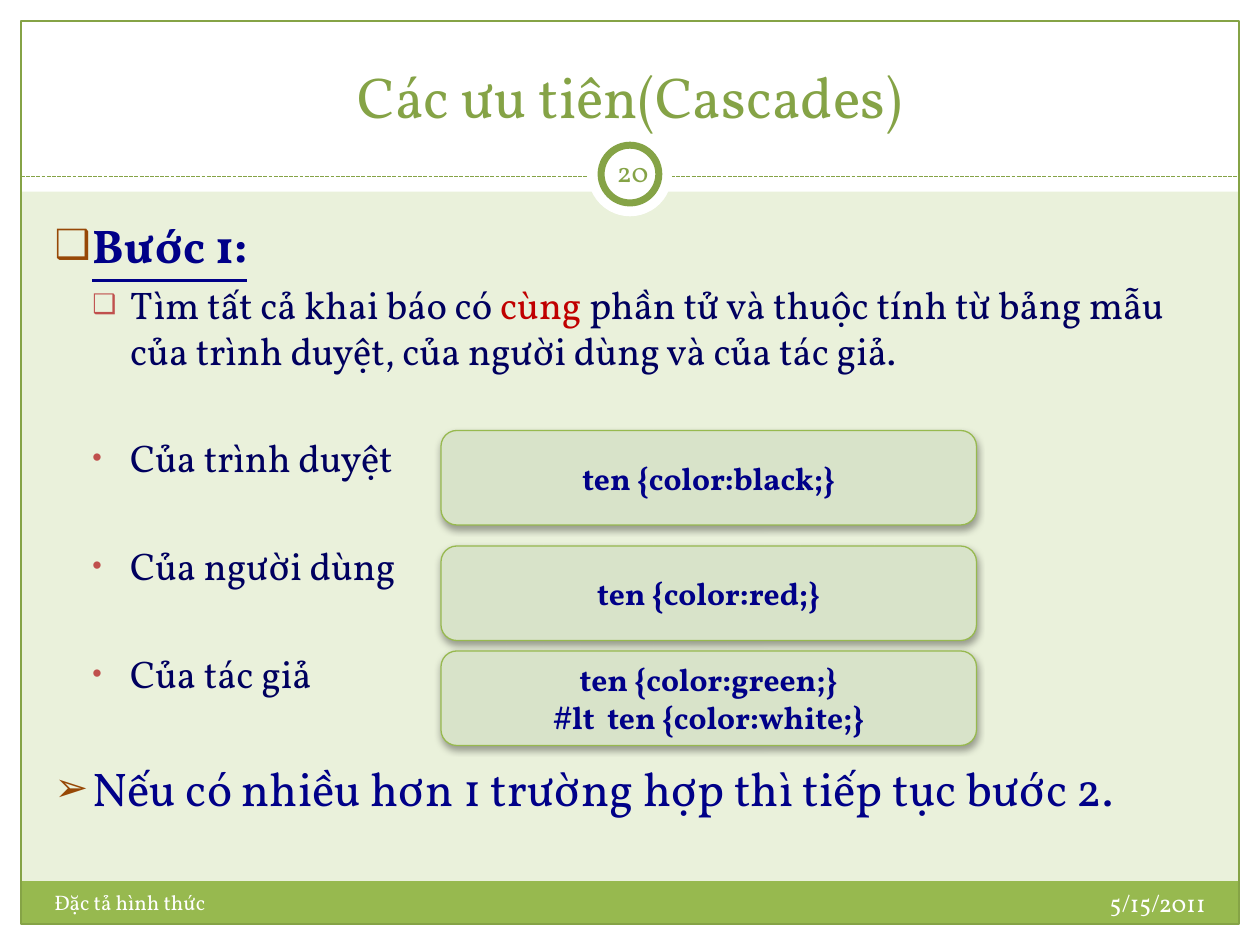
from lxml import etree
from pptx import Presentation
from pptx.dml.color import RGBColor
from pptx.enum.dml import MSO_LINE
from pptx.enum.shapes import MSO_CONNECTOR, MSO_SHAPE
from pptx.enum.text import MSO_ANCHOR, MSO_AUTO_SIZE, PP_ALIGN
from pptx.oxml import parse_xml
from pptx.oxml.ns import nsdecls, qn
from pptx.util import Pt

FONT = "Vollkorn"
WHITE, GREEN, BAR_GREEN = "FFFFFF", "85A346", "97B94F"
NAVY, DARK_NAVY = "000088", "00005F"
color = RGBColor.from_string


def add_box(kind, left, top, width, height, fill=None, line=None, weight=0.75):
    shape = slide.shapes.add_shape(kind, Pt(left), Pt(top), Pt(width), Pt(height))
    shape.shadow.inherit = False
    if fill:
        shape.fill.solid()
        shape.fill.fore_color.rgb = color(fill)
    else:
        shape.fill.background()
    if line:
        shape.line.color.rgb = color(line)
        shape.line.width = Pt(weight)
    else:
        shape.line.fill.background()
    return shape


def format_paragraph(paragraph, size, hex_color, alignment=PP_ALIGN.LEFT, bold=False):
    paragraph.alignment = alignment
    paragraph.font.name = FONT
    paragraph.font.size = Pt(size)
    paragraph.font.bold = bold
    paragraph.font.color.rgb = color(hex_color)


presentation = Presentation()
presentation.slide_width, presentation.slide_height = Pt(720), Pt(540)
slide = presentation.slides.add_slide(presentation.slide_layouts[1])
slide.background.fill.solid()
slide.background.fill.fore_color.rgb = color("EAF1DB")

# White margins and header, footer bar, frame
for left, top, width, height, fill in [
    (0, 528, 720, 12, WHITE),
    (0, 0, 720, 109.5, WHITE),
    (0, 0, 12, 540, WHITE),
    (708, 0, 12, 540, WHITE),
    (11.75, 503.5, 696, 24.5, BAR_GREEN),
]:
    add_box(MSO_SHAPE.RECTANGLE, left, top, width, height, fill)
add_box(MSO_SHAPE.RECTANGLE, 12, 12, 696, 516, line=GREEN)

divider = slide.shapes.add_connector(
    MSO_CONNECTOR.STRAIGHT, Pt(12), Pt(100.8), Pt(708), Pt(100.8))
divider.line.color.rgb = color(GREEN)
divider.line.width = Pt(0.75)
divider.line.dash_style = MSO_LINE.SQUARE_DOT
etree.SubElement(divider.element.spPr, qn("a:effectLst"))

add_box(MSO_SHAPE.OVAL, 336, 75.6, 48, 48, WHITE)
add_box(MSO_SHAPE.OVAL, 343.5, 83, 33, 33, WHITE, GREEN, 4)

# Title, brought in front of the header
title = slide.shapes.title
title.left, title.top, title.width, title.height = Pt(24), Pt(18), Pt(672), Pt(60)
title.text_frame.text = "Các ưu tiên(Cascades)"
title.text_frame.auto_size = MSO_AUTO_SIZE.NONE
title.text_frame.vertical_anchor = MSO_ANCHOR.BOTTOM
format_paragraph(title.text_frame.paragraphs[0], 33, GREEN, PP_ALIGN.CENTER)
slide.shapes.element.append(title.element)

# Date, footer and slide number
for text, left, top, width, height, size, hex_color, alignment in [
    ("5/15/2011", 456, 504, 240, 28.8, 14, WHITE, PP_ALIGN.RIGHT),
    ("Đặc tả hình thức", 24, 504.75, 282, 28.8, 12, WHITE, PP_ALIGN.LEFT),
    ("20", 343.5, 80.75, 36, 34.5, 16, GREEN, PP_ALIGN.CENTER),
]:
    text_box = slide.shapes.add_textbox(Pt(left), Pt(top), Pt(width), Pt(height))
    frame = text_box.text_frame
    frame.word_wrap = True
    frame.text = text
    format_paragraph(frame.paragraphs[0], size, hex_color, alignment)
# The slide number sits centred in its ring
frame.vertical_anchor = MSO_ANCHOR.MIDDLE
frame.margin_left = frame.margin_right = Pt(3.6)

# Body list: level, bullet, size, colour, space before, runs
body = slide.placeholders[1]
body.left, body.top, body.width, body.height = Pt(24), Pt(120), Pt(669.6), Pt(360)
body.text_frame.auto_size = MSO_AUTO_SIZE.NONE
slide.shapes.element.append(body.element)
ROW_GAP = 35.1
items = [
    (0, "❑", 27, NAVY, 5.4, ["Bước 1:"]),
    (1, "❑", 22, DARK_NAVY, 4.4, [
        "Tìm tất cả khai báo có ", "cùng",
        " phần tử và thuộc tính từ bảng mẫu của trình duyệt, "
        "của người dùng và của tác giả."]),
    (1, "•", 22, DARK_NAVY, ROW_GAP, ["Của trình duyệt"]),
    (1, "•", 22, DARK_NAVY, ROW_GAP, ["Của người dùng"]),
    (1, "•", 22, DARK_NAVY, ROW_GAP, ["Của tác giả"]),
    (0, "➢", 27, NAVY, 36.1, ["Nếu có nhiều hơn 1 trường hợp thì tiếp tục bước 2."]),
]
bullet_styles = [("974806", 85), ("C0504D", 70)]
for index, (level, bullet, size, hex_color, space, texts) in enumerate(items):
    paragraph = body.text_frame.paragraphs[0] if index == 0 else body.text_frame.add_paragraph()
    paragraph.level = level
    format_paragraph(paragraph, size, hex_color)
    paragraph.space_before = Pt(space)
    for text in texts:
        paragraph.add_run().text = text
    properties = paragraph._p.get_or_add_pPr()
    properties.set("marL", str(Pt(21.6 * (level + 1))))
    properties.set("indent", str(-Pt(21.6)))
    bullet_color, percent = bullet_styles[level]
    bullet_parts = [
        f'<a:buClr {nsdecls("a")}><a:srgbClr val="{bullet_color}"/></a:buClr>',
        f'<a:buSzPct {nsdecls("a")} val="{percent * 1000}"/>',
        f'<a:buChar {nsdecls("a")} char="{bullet}"/>',
    ]
    default_run = properties.find(qn("a:defRPr"))
    for part in bullet_parts:
        default_run.addprevious(parse_xml(part))

step, search = body.text_frame.paragraphs[:2]
step.font.bold = step.font.underline = True
search.runs[1].font.color.rgb = color("C00000")

# Style rule cards
for top, rules in [
    (246, ["ten {color:black;}"]),
    (312, ["ten {color:red;}"]),
    (372, ["ten {color:green;}", "#lt  ten {color:white;}"]),
]:
    card = add_box(MSO_SHAPE.ROUNDED_RECTANGLE, 252, top, 306, 54, "D8E3C9", BAR_GREEN)
    card.element.spPr.find(qn("a:effectLst")).append(parse_xml(
        f'<a:outerShdw {nsdecls("a")} blurRad="{Pt(4)}" dist="{Pt(2)}" dir="5400000" '
        'rotWithShape="0"><a:srgbClr val="000000"><a:alpha val="35000"/></a:srgbClr>'
        '</a:outerShdw>'))
    card.text_frame.text = "\n".join(rules)
    card.text_frame.vertical_anchor = MSO_ANCHOR.MIDDLE
    for paragraph in card.text_frame.paragraphs:
        format_paragraph(paragraph, 18, NAVY, PP_ALIGN.CENTER, bold=True)

presentation.save("out.pptx")
